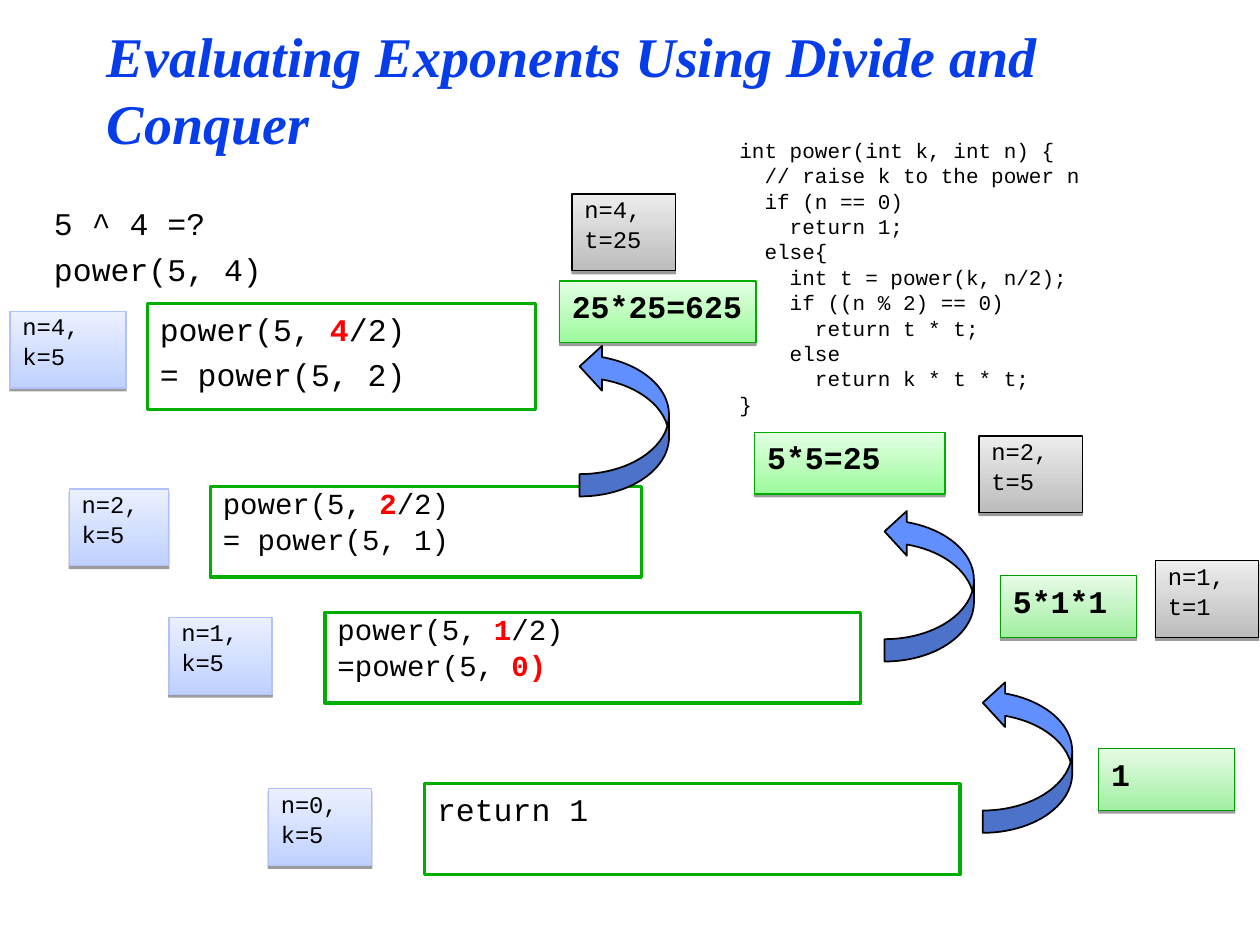
from lxml import etree
from pptx import Presentation
from pptx import util as u
from pptx.dml.color import RGBColor
from pptx.enum import shapes, text
from pptx.oxml import ns

BLACK = RGBColor(0x00, 0x00, 0x00)
WHITE = RGBColor(0xFF, 0xFF, 0xFF)
RED = RGBColor(0xFF, 0x00, 0x00)
TITLE_BLUE = RGBColor(0x06, 0x3D, 0xE8)
ARROW_BLUE = RGBColor(0x61, 0x8F, 0xFD)
GREEN = RGBColor(0x00, 0xAE, 0x00)
# Each card style: bottom colour, top colour, outline
CALL_STYLE = (RGBColor(0xBF, 0xD1, 0xFF), RGBColor(0xEB, 0xF0, 0xFF), RGBColor(0xB1, 0xC1, 0xFA))
RETURN_STYLE = (RGBColor(0xBC, 0xBC, 0xBC), RGBColor(0xED, 0xED, 0xED), BLACK)
RESULT_STYLE = (RGBColor(0x9C, 0xFB, 0x9C), RGBColor(0xE4, 0xFF, 0xE4), GREEN)
BASE_STYLE = (RGBColor(0xA2, 0xEF, 0xA2), RGBColor(0xE6, 0xFB, 0xE6), RGBColor(0x00, 0x9D, 0x00))

CODE = """int power(int k, int n) {
  // raise k to the power n
  if (n == 0)
    return 1;
  else{
    int t = power(k, n/2);
    if ((n % 2) == 0)
      return t * t;
    else
      return k * t * t;
}"""


def write_code(shape, content, size, before, spacing=None, bold=None):
    """Fill a shape with monospaced lines; parts between bars are red and bold."""
    frame = shape.text_frame
    frame.word_wrap = True
    frame.vertical_anchor = text.MSO_ANCHOR.TOP
    frame.text = content.replace("|", "")
    for paragraph, line in zip(frame.paragraphs, content.split("\n")):
        paragraph.alignment = text.PP_ALIGN.LEFT
        paragraph.space_before = u.Pt(before)
        paragraph.line_spacing = spacing
        properties = paragraph._p.get_or_add_pPr()
        properties.set("marL", str(u.Inches(0.38)))
        properties.set("indent", str(u.Inches(-0.38)))
        paragraph.clear()
        for index, part in enumerate(line.split("|")):
            if not part:
                continue
            run = paragraph.add_run()
            run.text = part
            run.font.name = "Courier New"
            run.font.size = u.Pt(size)
            run.font.bold = True if index % 2 else bold
            run.font.color.rgb = RED if index % 2 else BLACK


def add_card(left, top, width, height, style):
    """Add a rectangle with a vertical gradient and a thin shadow below it."""
    bottom_color, top_color, outline = style
    card = slide.shapes.add_shape(shapes.MSO_SHAPE.RECTANGLE, u.Inches(left), u.Inches(top),
                                  u.Inches(width), u.Inches(height))
    card.fill.gradient()
    card.fill.gradient_angle = 90
    for stop, color in zip(card.fill.gradient_stops, (bottom_color, top_color)):
        stop.color.rgb = color
    card.line.color.rgb = outline
    card.line.width = u.Pt(0.75)
    card.shadow.inherit = False
    effects = card._element.spPr.find(ns.qn("a:effectLst"))
    shadow = etree.SubElement(effects, ns.qn("a:outerShdw"), blurRad="0",
                              dist=str(u.Pt(1.6)), dir="5400000", rotWithShape="0")
    color = etree.SubElement(shadow, ns.qn("a:srgbClr"), val="000000")
    etree.SubElement(color, ns.qn("a:alpha"), val="38000")
    return card


presentation = Presentation()
presentation.slide_width = u.Inches(10)
presentation.slide_height = u.Inches(7.5)
slide = presentation.slides.add_slide(presentation.slide_layouts[6])

# Code listing, title and question
listing = slide.shapes.add_textbox(u.Inches(5.77), u.Inches(1.08), u.Inches(4.33), u.Inches(2.42))
write_code(listing, CODE, 12, 3, 0.8)

title = slide.shapes.add_textbox(u.Inches(0.75), u.Inches(0.33), u.Inches(8.5), u.Inches(0.75))
title.text_frame.word_wrap = True
title.text_frame.vertical_anchor = text.MSO_ANCHOR.MIDDLE
title.text_frame.text = "Evaluating Exponents Using Divide and Conquer"
title_font = title.text_frame.paragraphs[0].runs[0].font
title_font.name = "Times New Roman"
title_font.size = u.Pt(32)
title_font.bold = title_font.italic = True
title_font.color.rgb = TITLE_BLUE

question = slide.shapes.add_textbox(u.Inches(0.33), u.Inches(1.57), u.Inches(3.58), u.Inches(0.83))
write_code(question, "5 ^ 4 =?\npower(5, 4)", 18, 4.5)

# Recursive calls
calls = [
    (1.17, 2.41, 3.08, 0.84, "power(5, |4|/2)\n= power(5, 2)", 18, None),
    (1.67, 3.86, 3.42, 0.72, "power(5, |2|/2)\n= power(5, 1)", 16.6, 0.8),
    (2.58, 4.86, 4.25, 0.72, "power(5, |1|/2)\n=power(5, |0)|", 16.6, 0.8),
    (3.37, 6.22, 4.25, 0.72, "return 1", 18, None),
]
for left, top, width, height, content, size, spacing in calls:
    box = slide.shapes.add_shape(shapes.MSO_SHAPE.RECTANGLE, u.Inches(left), u.Inches(top),
                                 u.Inches(width), u.Inches(height))
    box.shadow.inherit = False
    box.fill.solid()
    box.fill.fore_color.rgb = WHITE
    box.line.color.rgb = GREEN
    box.line.width = u.Pt(2)
    write_code(box, content, size, 4.5, spacing)

# Variable values on the way down and on the way back
variables = [
    (0.08, 2.47, 0.92, "n=4,\nk=5", CALL_STYLE),
    (0.55, 3.88, 0.79, "n=2,\nk=5", CALL_STYLE),
    (1.34, 4.9, 0.82, "n=1,\nk=5", CALL_STYLE),
    (2.13, 6.26, 0.82, "n=0,\nk=5", CALL_STYLE),
    (9.17, 4.45, 0.82, "n=1,\nt=1", RETURN_STYLE),
    (7.77, 3.46, 0.82, "n=2,\nt=5", RETURN_STYLE),
    (4.54, 1.54, 0.82, "n=4,\nt=25", RETURN_STYLE),
]
for left, top, width, content, style in variables:
    write_code(add_card(left, top, width, 0.61, style), content, 13.6, 4, 0.8)

# Returned results
results = [
    (4.44, 2.23, 1.56, "25*25=625", RESULT_STYLE),
    (5.99, 3.43, 1.51, "5*5=25", RESULT_STYLE),
    (7.94, 4.57, 1.08, "5*1*1", BASE_STYLE),
    (8.72, 5.94, 1.08, "1", BASE_STYLE),
]
for left, top, width, content, style in results:
    write_code(add_card(left, top, width, 0.49, style), content, 18, 4.5, bold=True)

# Return arrows
for left, top in [(4.35, 2.98), (6.77, 4.29), (7.55, 5.65)]:
    arrow = slide.shapes.add_shape(shapes.MSO_SHAPE.CURVED_UP_ARROW, u.Inches(left), u.Inches(top),
                                   u.Inches(1.21), u.Inches(0.71))
    arrow.rotation = 270
    arrow.shadow.inherit = False
    arrow.fill.solid()
    arrow.fill.fore_color.rgb = ARROW_BLUE
    arrow.line.color.rgb = BLACK
    arrow.line.width = u.Pt(1)

presentation.save("out.pptx")
